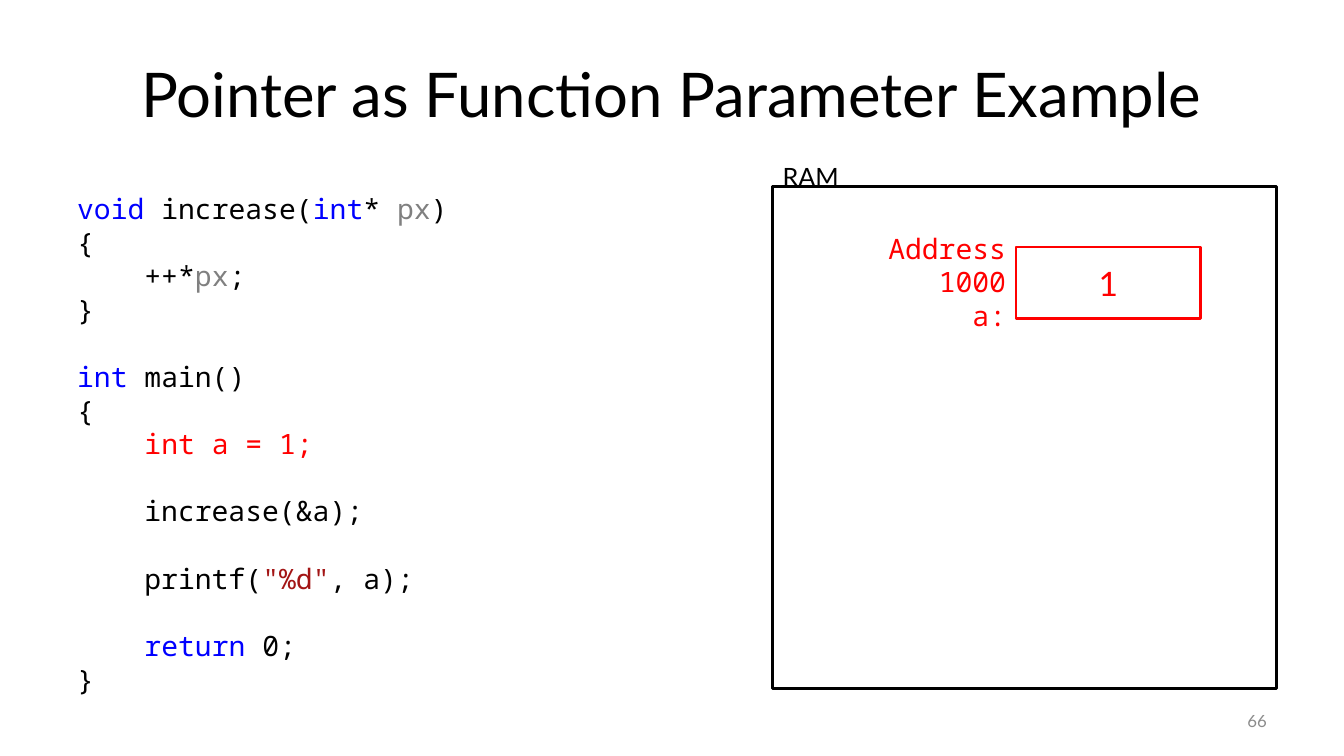
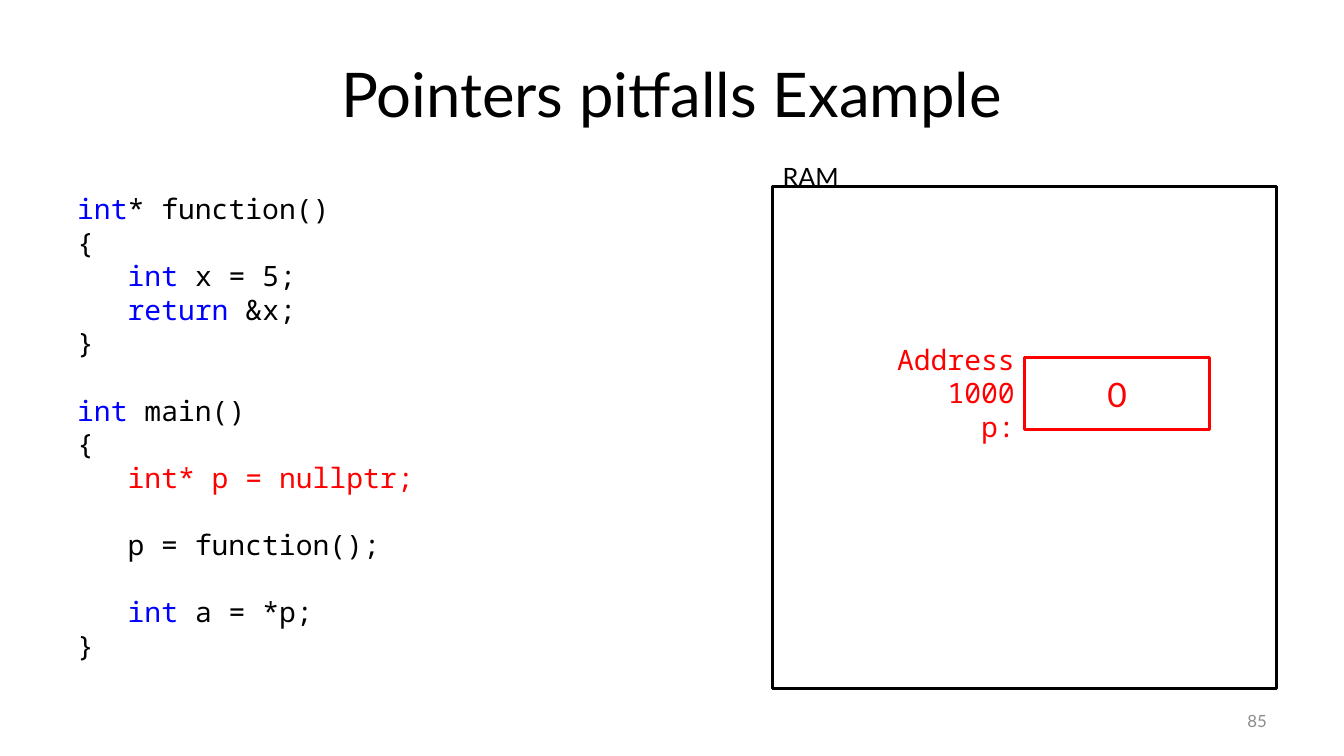
from pptx import Presentation
from pptx.dml.color import RGBColor
from pptx.enum.shapes import MSO_SHAPE
from pptx.enum.text import MSO_ANCHOR, PP_ALIGN
from pptx.util import Inches, Pt

RECTANGLE = MSO_SHAPE.RECTANGLE
TOP, MIDDLE = MSO_ANCHOR.TOP, MSO_ANCHOR.MIDDLE
LEFT, CENTER, RIGHT = PP_ALIGN.LEFT, PP_ALIGN.CENTER, PP_ALIGN.RIGHT

# Shared style
WIDTH, HEIGHT = Inches(13.33), Inches(7.5)
COLUMNS, ROWS = 20, 150
SANS, MONO = "Lato", "Noto Sans Mono"
BLACK, WHITE, RED, GREY = "000000", "FFFFFF", "FF0000", "8C8C8C"
CODE_SIZE, CODE_LINE = 20, Pt(24)
# Span colours in code: keyword, parameter, string, current line
CODE_COLOURS = {"k": "0000FF", "p": "808080", "s": "A31515", "c": RED}

# Code listings: |k:text| marks a coloured span
INCREASE_CODE = """\
|k:void| increase(|k:int|* |p:px|)
{
    ++*|p:px|;
}

|k:int| main()
{
    |c:int a = 1;|

    increase(&a);

    printf(|s:"%d"|, a);

    |k:return| 0;
}"""

PITFALL_CODE = """\
|k:int|* function()
{
   |k:int| x = 5;
   |k:return| &x;
}

|k:int| main()
{
   |c:int* p = nullptr;|

   p = function();

   |k:int| a = *p;
}"""


def colour(value):
    return RGBColor.from_string(value)


class Lesson:
    """Holds the deck and the current page; lengths are grid columns and rows."""

    def __init__(self):
        self.deck = Presentation()
        self.deck.slide_width, self.deck.slide_height = WIDTH, HEIGHT
        self.page = None

    def place(self, column, row, columns, rows):
        return (round(column * WIDTH / COLUMNS), round(row * HEIGHT / ROWS),
                round(columns * WIDTH / COLUMNS), round(rows * HEIGHT / ROWS))

    def style(self, para, size, ink, font=SANS, align=LEFT):
        para.alignment = align
        para.font.size, para.font.name = Pt(size), font
        para.font.color.rgb = colour(ink)
        if font == MONO:
            para.line_spacing = CODE_LINE

    def frame(self, area, anchor=TOP):
        box = self.page.shapes.add_textbox(*self.place(*area))
        box.text_frame.word_wrap = True
        box.text_frame.vertical_anchor = anchor
        return box.text_frame

    def text(self, area, words, size, ink, anchor=TOP, **look):
        frame = self.frame(area, anchor)
        frame.text = words
        for para in frame.paragraphs:
            self.style(para, size, ink, **look)

    def box(self, area, ink, words=""):
        box = self.page.shapes.add_shape(RECTANGLE, *self.place(*area))
        box.shadow.inherit = False
        box.fill.solid()
        box.fill.fore_color.rgb = colour(WHITE)
        box.line.color.rgb = colour(ink)
        box.line.width = Pt(2)
        if words:
            box.text_frame.text = words
            box.text_frame.vertical_anchor = MIDDLE
            self.style(box.text_frame.paragraphs[0], 24, ink, align=CENTER)

    def code(self, area, listing):
        frame = self.frame(area)
        para, gap = frame.paragraphs[0], 0
        for number, line in enumerate(listing.split("\n")):
            if not line:
                gap += CODE_LINE
                continue
            if number:
                para = frame.add_paragraph()
            self.style(para, CODE_SIZE, BLACK, font=MONO)
            if gap:
                para.space_before, gap = gap, 0
            # Every second part of a line is a marked span
            for index, part in enumerate(line.split("|")):
                if not part:
                    continue
                span = para.add_run()
                span.text = part
                if index % 2:
                    kind, span.text = part.split(":", 1)
                    span.font.color.rgb = colour(CODE_COLOURS[kind])

    def variable(self, column, row, name, value):
        self.box((column, row, 2.75, 14.2), RED, value)
        self.text((column - 3.12, row - 0.8, 3.12, 15.4), f"Address 1000\n{name}:",
                  CODE_SIZE, RED, MIDDLE, font=MONO, align=RIGHT)

    def memory_page(self, title, number, listing):
        self.page = self.deck.slides.add_slide(self.deck.slide_layouts[6])
        self.text((1, 6, 18, 25), title, 44, BLACK, MIDDLE, align=CENTER)
        self.text((14.34, 139, 4.66, 8), number, 12, GREY, MIDDLE, align=RIGHT)
        # Memory area
        self.box((11.5, 37, 7.5, 99.6), BLACK)
        self.text((11.5, 31, 2.8, 8), "RAM", 18, BLACK)
        self.code((1, 37, 7.5, 102), listing)


def main():
    lesson = Lesson()

    # Pointer parameter
    lesson.memory_page("Pointer as Function Parameter Example", "66", INCREASE_CODE)
    lesson.variable(15.12, 49, "a", "1")

    # Pointer pitfalls
    lesson.memory_page("Pointers pitfalls Example", "85", PITFALL_CODE)
    lesson.variable(15.25, 71, "p", "0")

    lesson.deck.save("out.pptx")


if __name__ == "__main__":
    main()
